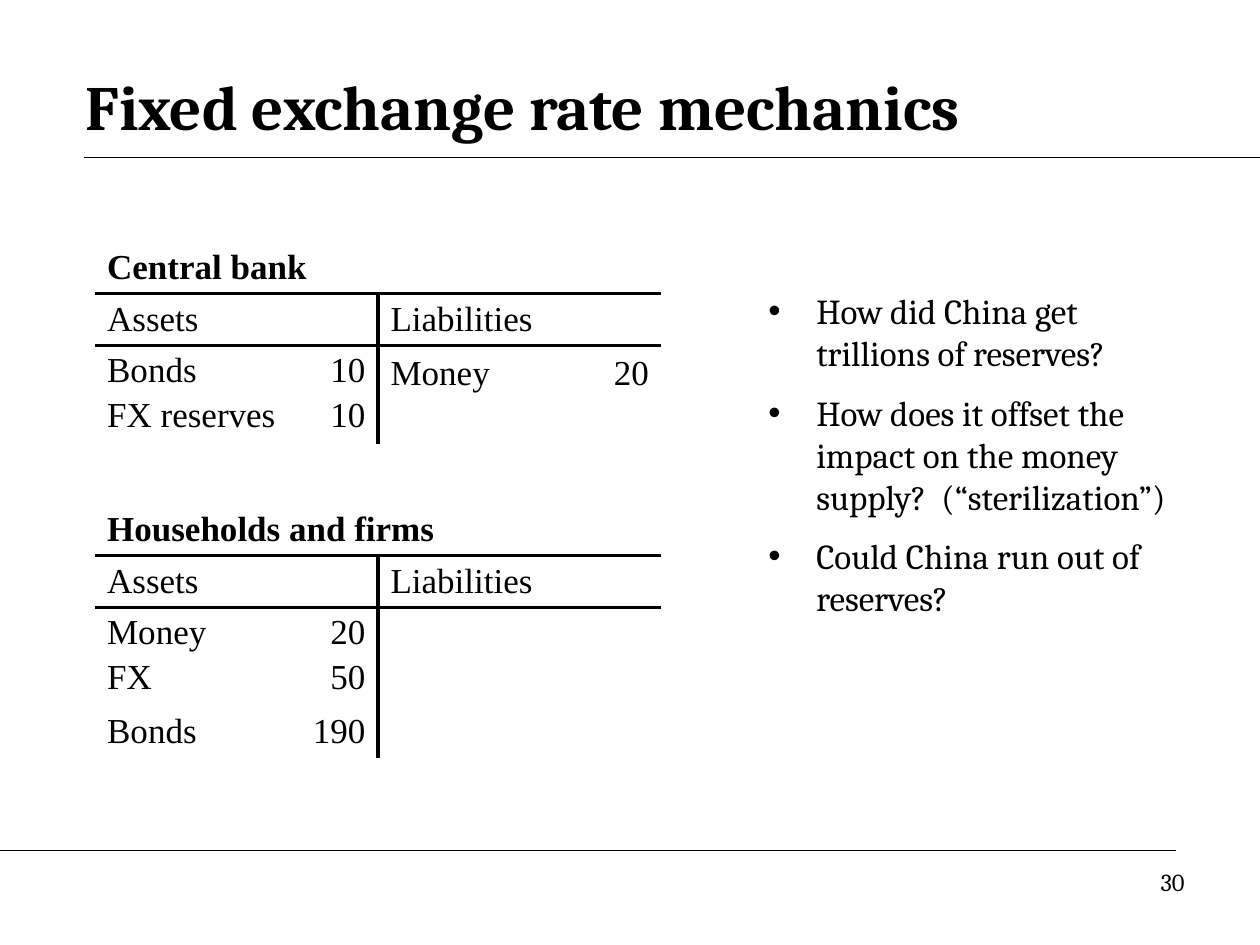
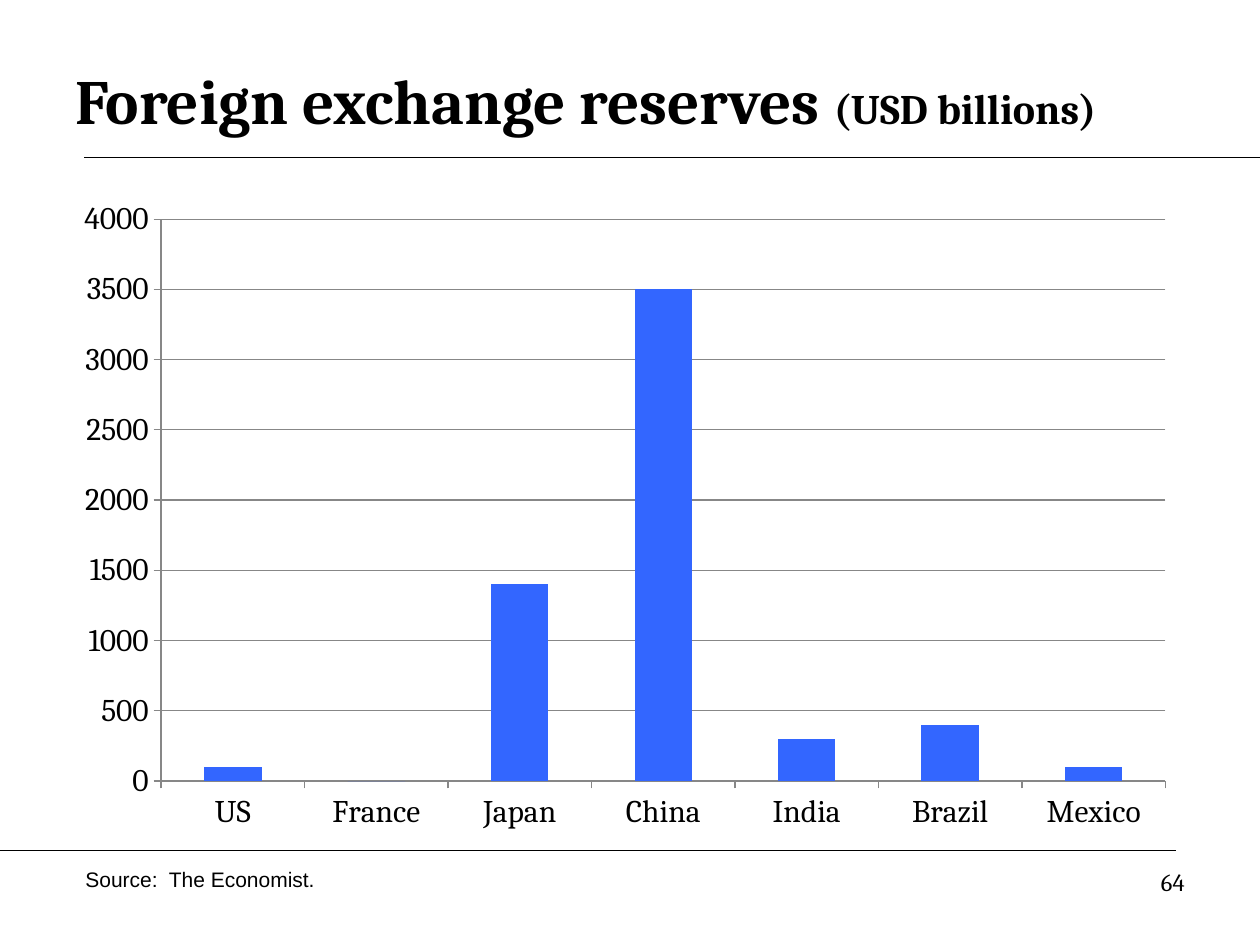
from dataclasses import dataclass
from typing import NamedTuple

from lxml import etree
from pptx import Presentation
from pptx.chart.data import CategoryChartData
from pptx.dml.color import RGBColor
from pptx.enum.chart import XL_CHART_TYPE as ChartType, XL_TICK_MARK as TickMark
from pptx.enum.shapes import MSO_CONNECTOR as Connector
from pptx.enum.text import MSO_ANCHOR as Anchor, PP_ALIGN as Align
from pptx.oxml import parse_xml
from pptx.oxml.ns import nsdecls, qn
from pptx.slide import Slide
from pptx.util import Inches, Pt

BLACK = "000000"
GRID_GREY = "878787"
BAR_BLUE = "3366FF"
SERIF = "Cambria"
LEDGER_FONT = "Times New Roman"
SOURCE_FONT = "Arial"


class Box(NamedTuple):
    left: float
    top: float
    width: float
    height: float

    def lengths(self) -> list:
        return [Inches(value) for value in self]


class Rule(NamedTuple):
    start: float
    end: float
    y: float


class Entry(NamedTuple):
    label: str
    amount: str


@dataclass
class LedgerRow:
    assets: list[Entry]
    liabilities: list[Entry]
    height: float


@dataclass
class Ledger:
    owner: str
    top: float
    label_width: float
    amount_width: float
    rows: list[LedgerRow]


FRAME_RULES = [Rule(0.67, 10, 1.25), Rule(0, 9.33, 6.75)]
EXTRA_RULES = [Rule(1.25, 10, 1.25), Rule(0, 7.08, 6.75)]
PAGE_NUMBER_BOX = Box(7.17, 6.83, 2.33, 0.52)
CHART_BOX = Box(0.67, 1.53, 8.83, 5.06)
PLOT_BOX = Box(1.27, 1.74, 7.98, 4.46)
HEADER_HEIGHT = 0.41
BORDER_SIDES = ("L", "R", "T", "B")

LEDGERS = [
    Ledger("Central bank", 1.92, 1.67, 0.58, [
        LedgerRow([Entry("Bonds", "10"), Entry("FX reserves", "10")],
                  [Entry("Money", "20")], 0.77),
    ]),
    Ledger("Households and firms", 4, 1.48, 0.77, [
        LedgerRow([Entry("Money", "20"), Entry("FX", "50")], [], 0.77),
        LedgerRow([Entry("Bonds", "190")], [], HEADER_HEIGHT),
    ]),
]

QUESTIONS = [
    "How did China get trillions of reserves?",
    "How does it offset the impact on the money supply?  (“sterilization”)",
    "Could China run out of reserves?",
]

RESERVES = {"US": 100, "France": 0, "Japan": 1400, "China": 3500,
            "India": 300, "Brazil": 400, "Mexico": 100}


def rgb(value: str) -> RGBColor:
    return RGBColor.from_string(value)


def style_font(font, size: float, name: str = SERIF, bold: bool = False) -> None:
    font.size = Pt(size)
    font.name = name
    font.bold = bold
    font.color.rgb = rgb(BLACK)


def write(frame, paragraphs: list[str], *, size: float, name: str = SERIF,
          bold: bool = False, align=Align.LEFT, gap: float = 0,
          bullet: bool = False) -> None:
    for index, text in enumerate(paragraphs):
        paragraph = frame.add_paragraph() if index else frame.paragraphs[0]
        paragraph.alignment = align
        if index and gap:
            paragraph.space_before = Pt(gap)
        if bullet:
            properties = paragraph._p.get_or_add_pPr()
            properties.set("marL", str(Inches(0.38)))
            properties.set("indent", str(Inches(-0.38)))
            etree.SubElement(properties, qn("a:buFont")).set("typeface", "Arial")
            etree.SubElement(properties, qn("a:buChar")).set("char", "•")
        run = paragraph.add_run()
        run.text = text
        style_font(run.font, size, name, bold)


def add_text(slide: Slide, box: Box, paragraphs: list[str], *,
             anchor=Anchor.TOP, **text_format):
    frame = slide.shapes.add_textbox(*box.lengths()).text_frame
    frame.word_wrap = True
    frame.vertical_anchor = anchor
    write(frame, paragraphs, **text_format)
    return frame


def add_title(slide: Slide, box: Box, title: str, unit: str = "") -> None:
    frame = add_text(slide, box, [title], anchor=Anchor.MIDDLE, size=36, bold=True)
    if unit:
        run = frame.paragraphs[0].add_run()
        run.text = unit
        style_font(run.font, 24, bold=True)


def add_rule(slide: Slide, rule: Rule) -> None:
    line = slide.shapes.add_connector(
        Connector.STRAIGHT, Inches(rule.start), Inches(rule.y),
        Inches(rule.end), Inches(rule.y))
    line.line.color.rgb = rgb(BLACK)
    line.line.width = Pt(0.75)
    etree.SubElement(line._element.spPr, qn("a:effectLst"))


def add_framed_slide(deck, page_number: str) -> Slide:
    slide = deck.slides.add_slide(deck.slide_layouts[6])
    for rule in FRAME_RULES:
        add_rule(slide, rule)
    add_text(slide, PAGE_NUMBER_BOX, [page_number], size=14, align=Align.RIGHT)
    return slide


def set_borders(cell, drawn: set[str]) -> None:
    cell.fill.background()
    cell.margin_top = cell.margin_bottom = Inches(0.02)
    properties = cell._tc.get_or_add_tcPr()
    for position, side in enumerate(BORDER_SIDES):
        if side in drawn:
            paint = f'<a:solidFill><a:srgbClr val="{BLACK}"/></a:solidFill>'
        else:
            paint = "<a:noFill/>"
        properties.insert(position, parse_xml(
            f'<a:ln{side} {nsdecls("a")} w="{Pt(2.25)}">{paint}</a:ln{side}>'))


def ledger_sides(row: int, column: int) -> set[str]:
    sides = set()
    if row <= 1:
        sides.add("B")
    if row in (1, 2):
        sides.add("T")
    if row >= 1:
        if column == 1 or (row == 1 and column == 0):
            sides.add("R")
        if column == 2:
            sides.add("L")
    return sides


def add_ledger(slide: Slide, ledger: Ledger) -> None:
    widths = [ledger.label_width, ledger.amount_width, 1.12, 1.13]
    heights = [HEADER_HEIGHT] * 2 + [row.height for row in ledger.rows]
    box = Box(0.75, ledger.top, sum(widths), sum(heights))
    table = slide.shapes.add_table(len(heights), len(widths), *box.lengths()).table
    table.first_row = table.horz_banding = False
    for column, width in zip(table.columns, widths):
        column.width = Inches(width)
    for row, height in zip(table.rows, heights):
        row.height = Inches(height)
    for row in range(len(heights)):
        for column in range(len(widths)):
            set_borders(table.cell(row, column), ledger_sides(row, column))

    table.cell(0, 0).merge(table.cell(0, 3))
    headings = [(0, 0, ledger.owner), (1, 0, "Assets"), (1, 2, "Liabilities")]
    for row, column, heading in headings:
        cell = table.cell(row, column)
        if row:
            cell.merge(table.cell(row, column + 1))
        cell.vertical_anchor = Anchor.MIDDLE
        write(cell.text_frame, [heading], size=20, name=LEDGER_FONT, bold=row == 0)

    for row, content in enumerate(ledger.rows, start=2):
        for first, entries in ((0, content.assets), (2, content.liabilities)):
            for offset, align in enumerate((Align.LEFT, Align.RIGHT)):
                cell = table.cell(row, first + offset)
                if entries:
                    cell.margin_top = Inches(0.07 if first else 0.05)
                write(cell.text_frame, [entry[offset] for entry in entries],
                      size=20, name=LEDGER_FONT, align=align, gap=3.5)


def add_reserves_chart(slide: Slide) -> None:
    data = CategoryChartData()
    data.categories = list(RESERVES)
    data.add_series("Series 1", list(RESERVES.values()))
    chart = slide.shapes.add_chart(
        ChartType.COLUMN_CLUSTERED, *CHART_BOX.lengths(), data).chart
    chart.has_legend = chart.has_title = False
    style_font(chart.font, 18)

    plot = chart.plots[0]
    plot.vary_by_categories = False
    plot.gap_width = 150
    bars = plot.series[0].format.fill
    bars.solid()
    bars.fore_color.rgb = rgb(BAR_BLUE)

    amounts = chart.value_axis
    amounts.minimum_scale, amounts.maximum_scale = 0, 4000
    amounts.major_unit = 500
    amounts.has_major_gridlines = True
    for axis in (amounts, chart.category_axis):
        axis.major_tick_mark = TickMark.OUTSIDE
        axis.minor_tick_mark = TickMark.NONE
    for part in (amounts, chart.category_axis, amounts.major_gridlines):
        part.format.line.color.rgb = rgb(GRID_GREY)
        part.format.line.width = Pt(0.75)

    area = chart._chartSpace.chart.plotArea
    for layout in area.findall(qn("c:layout")):
        area.remove(layout)
    settings = {"layoutTarget": "inner", "xMode": "edge", "yMode": "edge",
                "x": (PLOT_BOX.left - CHART_BOX.left) / CHART_BOX.width,
                "y": (PLOT_BOX.top - CHART_BOX.top) / CHART_BOX.height,
                "w": PLOT_BOX.width / CHART_BOX.width,
                "h": PLOT_BOX.height / CHART_BOX.height}
    values = "".join(f'<c:{key} val="{value}"/>' for key, value in settings.items())
    area.insert(0, parse_xml(
        f'<c:layout {nsdecls("c")}><c:manualLayout>{values}</c:manualLayout></c:layout>'))


def build_mechanics(deck) -> None:
    slide = add_framed_slide(deck, "30")
    add_title(slide, Box(0.58, 0.42, 8.67, 0.83), "Fixed exchange rate mechanics")
    for rule in EXTRA_RULES:
        add_rule(slide, rule)
    for ledger in LEDGERS:
        add_ledger(slide, ledger)
    add_text(slide, Box(6, 2.25, 3.42, 3.83), QUESTIONS,
             size=20, gap=10, bullet=True)


def build_reserves(deck) -> None:
    slide = add_framed_slide(deck, "64")
    add_title(slide, Box(0.5, 0.33, 9, 0.92),
              "Foreign exchange reserves ", "(USD billions)")
    add_reserves_chart(slide)
    add_text(slide, Box(0.58, 6.83, 3, 0.3), ["Source:  The Economist."],
             size=12, name=SOURCE_FONT)


def main() -> None:
    deck = Presentation()
    deck.slide_width, deck.slide_height = Inches(10), Inches(7.5)
    build_mechanics(deck)
    build_reserves(deck)
    deck.save("out.pptx")


if __name__ == "__main__":
    main()
